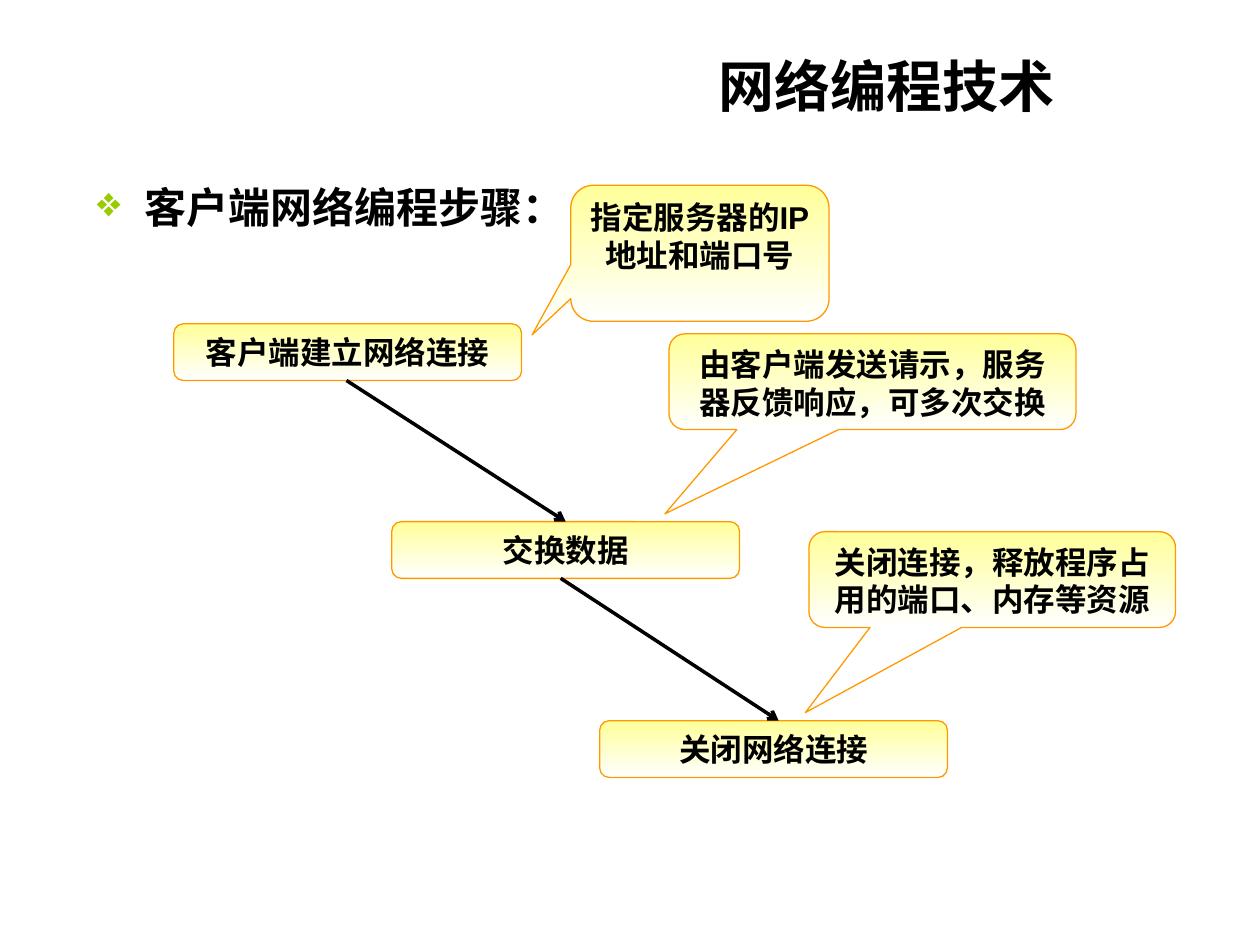
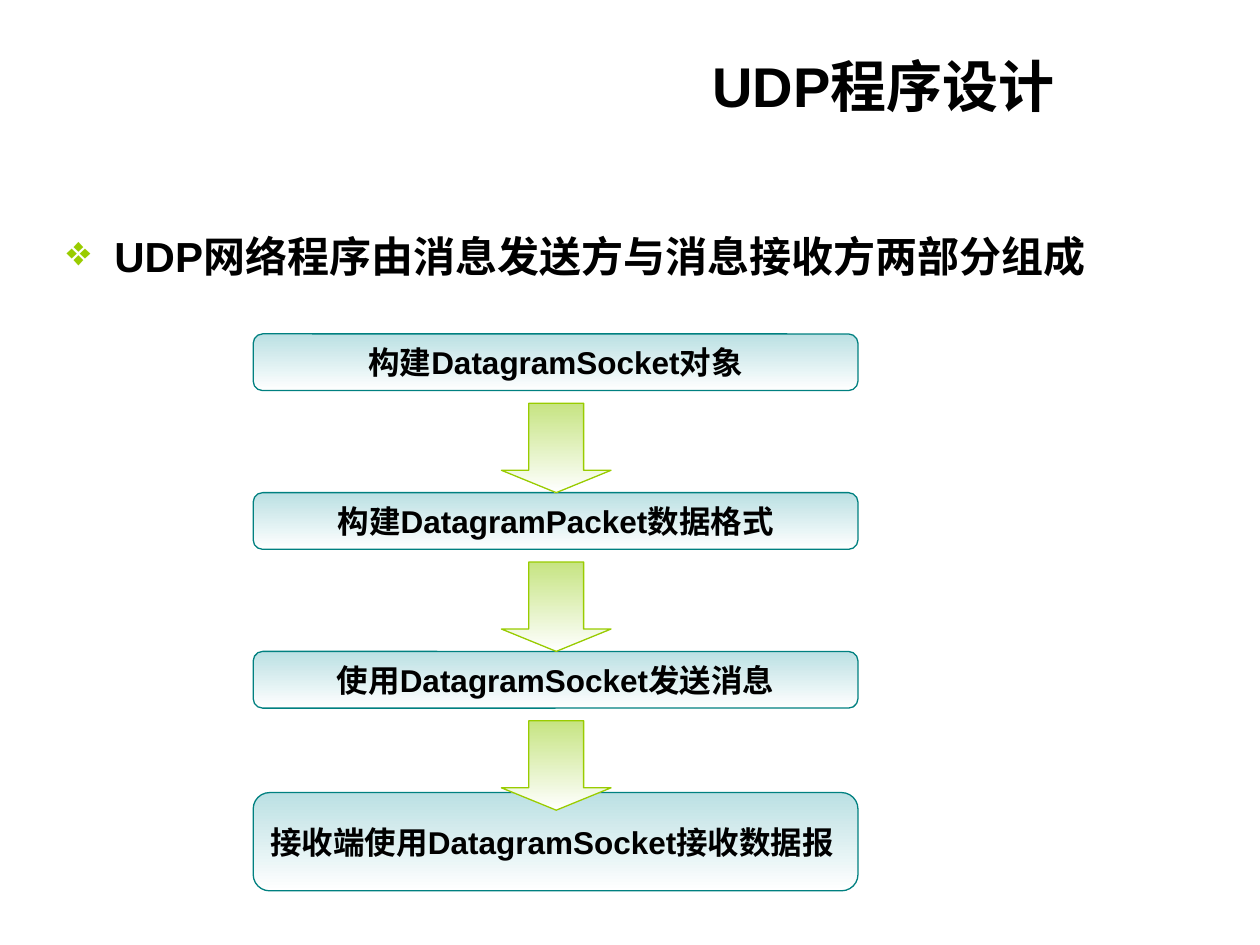
from lxml import etree
from pptx import Presentation
from pptx.dml.color import RGBColor
from pptx.enum.lang import MSO_LANGUAGE_ID
from pptx.enum.shapes import MSO_CONNECTOR, MSO_SHAPE
from pptx.enum.text import MSO_ANCHOR, PP_ALIGN
from pptx.oxml.ns import qn
from pptx.util import Inches, Pt

BLACK = RGBColor(0x00, 0x00, 0x00)
WHITE = RGBColor(0xFF, 0xFF, 0xFF)
YELLOW = RGBColor(0xFF, 0xFF, 0x99)
ORANGE = RGBColor(0xFF, 0x99, 0x00)
AQUA = RGBColor(0xBB, 0xE0, 0xE3)
TEAL = RGBColor(0x00, 0x80, 0x80)
LIME = RGBColor(0xC6, 0xE4, 0x82)
GREEN = RGBColor(0x99, 0xCC, 0x00)
FONT = "Arial"
CHINESE = MSO_LANGUAGE_ID.SIMPLIFIED_CHINESE
LEFT, CENTER, RIGHT = PP_ALIGN.LEFT, PP_ALIGN.CENTER, PP_ALIGN.RIGHT
TOP, MIDDLE = MSO_ANCHOR.TOP, MSO_ANCHOR.MIDDLE
ROUND = MSO_SHAPE.ROUNDED_RECTANGLE
CALLOUT = MSO_SHAPE.ROUNDED_RECTANGULAR_CALLOUT
STEP = MSO_SHAPE.FLOWCHART_ALTERNATE_PROCESS
ARROW = MSO_SHAPE.DOWN_ARROW
STRAIGHT = MSO_CONNECTOR.STRAIGHT


def write(shape, text, size, align, anchor):
    frame = shape.text_frame
    frame.word_wrap = True
    frame.vertical_anchor = anchor
    para = frame.paragraphs[0]
    para.alignment = align
    run = para.add_run()
    run.text = text
    font = run.font
    font.name, font.size, font.bold = FONT, Pt(size), True
    font.color.rgb = BLACK
    font.language_id = CHINESE
    return para


def draw(slide, kind, box, tint, edge):
    shape = slide.shapes.add_shape(kind, *map(Inches, box))
    shape.shadow.inherit = False
    shape.fill.gradient()
    shape.fill.gradient_angle = 270
    for stop, color in zip(shape.fill.gradient_stops, (tint, WHITE)):
        stop.color.rgb = color
    shape.line.color.rgb = edge
    shape.line.width = Pt(0.75)
    return shape


deck = Presentation()
deck.slide_width, deck.slide_height = Inches(10), Inches(7.5)

# Title and bullet line of each slide
pages = [
    ("网络编程技术", "客户端网络编程步骤：", (0.67, 1.39, 5.59, 0.51)),
    ("UDP程序设计", "UDP网络程序由消息发送方与消息接收方两部分组成",
     (0.43, 1.78, 9, 0.5)),
]
slides = []
for title, point, box in pages:
    slide = deck.slides.add_slide(deck.slide_layouts[6])
    slides.append(slide)
    head = slide.shapes.add_textbox(*map(Inches, (2.56, 0.36, 5.91, 0.63)))
    write(head, title, 32, RIGHT, MIDDLE)
    body = slide.shapes.add_textbox(*map(Inches, box))
    para = write(body, point, 24, LEFT, TOP)
    props = para._p.get_or_add_pPr()
    props.set("marL", str(Inches(0.38)))
    props.set("indent", str(-Inches(0.38)))
    tone = etree.SubElement(props, qn("a:buClr"))
    etree.SubElement(tone, qn("a:srgbClr")).set("val", str(GREEN))
    etree.SubElement(props, qn("a:buChar")).set("char", "❖")
client, udp = slides

# Client steps
steps = [
    ("客户端建立网络连接", 1.38, 2.57),
    ("交换数据", 3.11, 4.14),
    ("关闭网络连接", 4.76, 5.72),
]
for text, left, top in steps:
    shape = draw(client, ROUND, (left, top, 2.76, 0.45), YELLOW, ORANGE)
    write(shape, text, 18, CENTER, MIDDLE)

# Arrows between the client steps
for ends in [(2.75, 3.02, 4.49, 4.14), (4.45, 4.59, 6.18, 5.72)]:
    link = client.shapes.add_connector(STRAIGHT, *map(Inches, ends))
    link.line.color.rgb = BLACK
    link.line.width = Pt(2)
    line = link.line._get_or_add_ln()
    etree.SubElement(line, qn("a:tailEnd")).set("type", "arrow")
    etree.SubElement(link._element.spPr, qn("a:effectLst"))

# Callouts, each with the place of its tip
notes = [
    ("指定服务器的IP地址和端口号", (4.53, 1.47, 2.05, 1.08), (-0.65, 0.6)),
    ("由客户端发送请示，服务器反馈响应，可多次交换",
     (5.31, 2.65, 3.23, 0.76), (-0.51, 1.38)),
    ("关闭连接，释放程序占用的端口、内存等资源",
     (6.42, 4.22, 2.91, 0.76), (-0.51, 1.39)),
]
for text, box, tip in notes:
    shape = draw(client, CALLOUT, box, YELLOW, ORANGE)
    shape.adjustments[0], shape.adjustments[1] = tip
    write(shape, text, 18, CENTER, TOP)

# UDP steps
stages = [
    ("构建DatagramSocket对象", 2.65, 0.45, CENTER),
    ("构建DatagramPacket数据格式", 3.91, 0.45, CENTER),
    ("使用DatagramSocket发送消息", 5.17, 0.45, CENTER),
    ("接收端使用DatagramSocket接收数据报", 6.29, 0.78, LEFT),
]
for text, top, height, align in stages:
    shape = draw(udp, STEP, (2.01, top, 4.8, height), AQUA, TEAL)
    write(shape, text, 18, align, MIDDLE)

# Block arrows below the first three UDP steps
for stage in stages[:-1]:
    shape = draw(udp, ARROW, (3.98, stage[1] + 0.55, 0.87, 0.71), LIME, GREEN)
    shape.adjustments[1] = 0.25

deck.save("out.pptx")
